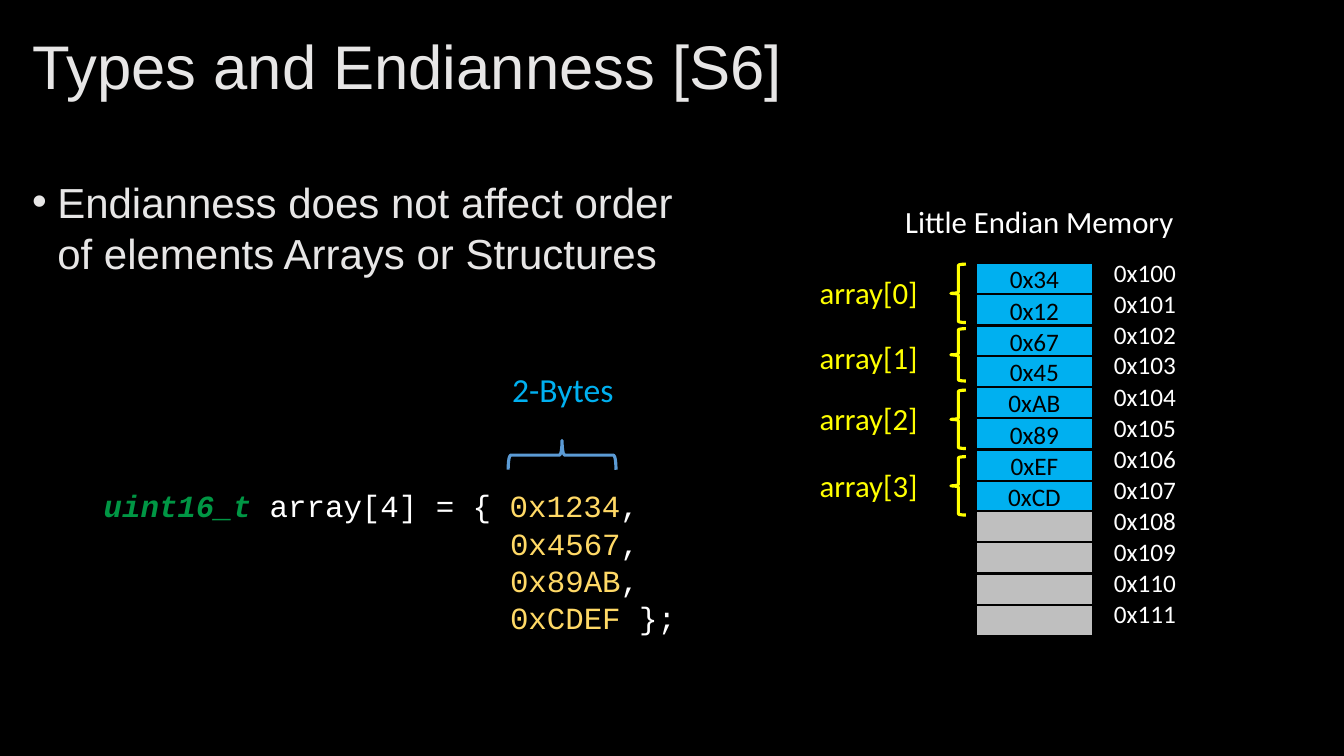
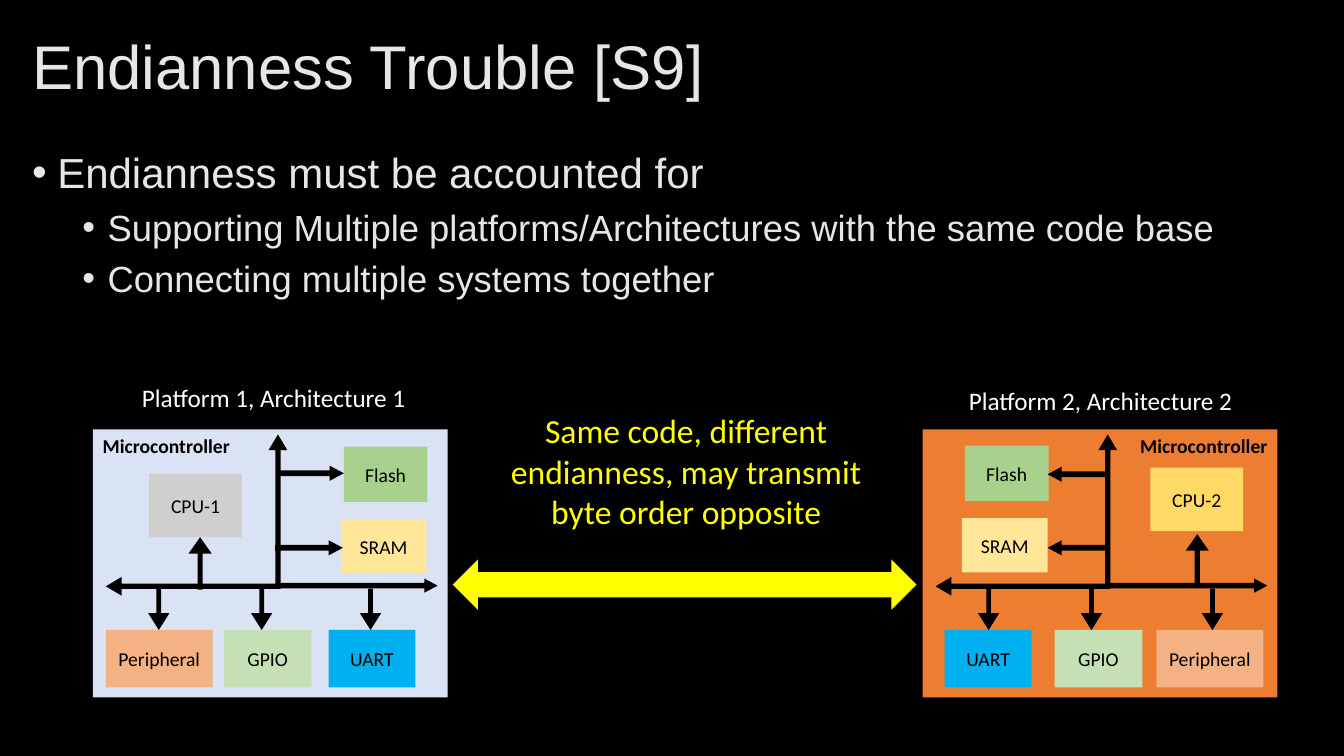
from lxml import etree
from pptx import Presentation
from pptx.dml.color import RGBColor
from pptx.enum.shapes import MSO_SHAPE
from pptx.enum.text import MSO_ANCHOR, MSO_AUTO_SIZE, PP_ALIGN
from pptx.oxml.ns import qn
from pptx.util import Emu, Pt

EMU_PER_PX = 9144
SLIDE_W, SLIDE_H = 1333, 750
BLANK_LAYOUT = 6

BLACK = RGBColor(0x00, 0x00, 0x00)
WHITE = RGBColor(0xFF, 0xFF, 0xFF)
HEADING = RGBColor(0xE7, 0xE6, 0xE6)
CYAN = RGBColor(0x00, 0xB0, 0xF0)
YELLOW = RGBColor(0xFF, 0xFF, 0x00)
FREE_CELL = RGBColor(0xBF, 0xBF, 0xBF)
KEYWORD = RGBColor(0x00, 0x96, 0x44)
GOLD = RGBColor(0xFF, 0xD9, 0x66)
BRACE_BLUE = RGBColor(0x5B, 0x9B, 0xD5)
PALE_BLUE = RGBColor(0xDA, 0xE3, 0xF3)
ORANGE = RGBColor(0xED, 0x7D, 0x31)
PEACH = RGBColor(0xF4, 0xB1, 0x83)
PALE_GREEN = RGBColor(0xC5, 0xE0, 0xB4)
GREEN = RGBColor(0xA9, 0xD1, 0x8E)
PALE_YELLOW = RGBColor(0xFF, 0xE6, 0x99)
GREY = RGBColor(0xD0, 0xCE, 0xCE)

HEADING_FONT, LABEL_FONT, CODE_FONT = "Arial", "Calibri", "Courier New"
RECT = MSO_SHAPE.RECTANGLE
BRACE = MSO_SHAPE.RIGHT_BRACE
UP_ARROW = MSO_SHAPE.UP_ARROW
BUS_ARROW = MSO_SHAPE.LEFT_UP_ARROW
DOUBLE_ARROW = MSO_SHAPE.UP_DOWN_ARROW
LEFT, CENTER, RIGHT = PP_ALIGN.LEFT, PP_ALIGN.CENTER, PP_ALIGN.RIGHT
TOP, MIDDLE = MSO_ANCHOR.TOP, MSO_ANCHOR.MIDDLE
GROW = MSO_AUTO_SIZE.SHAPE_TO_FIT_TEXT

BUS_ADJ = (0.032, 0.058, 0.098)
CPU_ADJ = (0.222, 0.708)
DROP_ADJ = (0.222, 0.795)
BRANCH_ADJ = (0.382, 0.936)


def px(value):
    return Emu(value * EMU_PER_PX)


def write(paragraph, text, size=18, color=WHITE, font=LABEL_FONT, bold=False,
          italic=False, align=LEFT, spacing=None):
    run = paragraph.add_run()
    run.text = text
    run.font.size = Pt(size)
    run.font.color.rgb = color
    run.font.name = font
    run.font.bold = bold
    run.font.italic = italic
    paragraph.alignment = align
    paragraph.line_spacing = spacing


def add_frame(shapes, box, wrap=True, anchor=TOP, grow=True):
    frame = shapes.add_textbox(*map(px, box)).text_frame
    frame.word_wrap = wrap
    frame.vertical_anchor = anchor
    if grow:
        frame.auto_size = GROW
    return frame


def add_label(shapes, box, text, wrap=False, **text_format):
    write(add_frame(shapes, box, wrap).paragraphs[0], text, **text_format)


def add_figure(shapes, kind, box, fill=None, line=None, line_width=2.25,
               rotation=0, adjustments=()):
    figure = shapes.add_shape(kind, *map(px, box))
    figure.shadow.inherit = False
    figure.rotation = rotation
    for index, value in enumerate(adjustments):
        figure.adjustments[index] = value
    if fill is None:
        figure.fill.background()
    else:
        figure.fill.solid()
        figure.fill.fore_color.rgb = fill
    if line is None:
        figure.line.fill.background()
    else:
        figure.line.color.rgb = line
        figure.line.width = Pt(line_width)
    return figure


def add_block(shapes, box, fill, text="", anchor=MIDDLE, line=None,
              line_width=1.5, align=CENTER, **text_format):
    block = add_figure(shapes, RECT, box, fill, line, line_width)
    block.text_frame.vertical_anchor = anchor
    if text:
        write(block.text_frame.paragraphs[0], text, color=BLACK, align=align,
              **text_format)


def paragraphs_of(frame, count):
    return [frame.paragraphs[0]] + [frame.add_paragraph()
                                    for _ in range(count - 1)]


def set_indent(paragraph, margin, hanging=0):
    properties = paragraph._p.get_or_add_pPr()
    properties.set("marL", str(px(margin)))
    properties.set("indent", str(px(-hanging)))
    return properties


def add_titled_slide(deck, title):
    slide = deck.slides.add_slide(deck.slide_layouts[BLANK_LAYOUT])
    slide.background.fill.solid()
    slide.background.fill.fore_color.rgb = BLACK
    frame = add_frame(slide.shapes, (22, 21, 1289, 97), anchor=MIDDLE,
                      grow=False)
    write(frame.paragraphs[0], title, size=44, color=HEADING,
          font=HEADING_FONT, spacing=0.9)
    return slide


def add_bullets(shapes, box, items):
    frame = add_frame(shapes, box)
    for paragraph, (level, text) in zip(paragraphs_of(frame, len(items)), items):
        size, spacing = ((30, 36.5), (26, 31.6))[level]
        write(paragraph, text, size=size, color=HEADING, font=HEADING_FONT,
              spacing=Pt(spacing))
        if level:
            paragraph.space_before = Pt(5)
        properties = set_indent(paragraph, 25 + 50 * level, 25)
        etree.SubElement(properties, qn("a:buFont")).set("typeface", HEADING_FONT)
        etree.SubElement(properties, qn("a:buChar")).set("char", "•")


def add_code(shapes, left, top):
    lines = (
        (("uint16_t", KEYWORD), (" array[4] = { ", WHITE),
         ("0x1234", GOLD), (",", WHITE)),
        (("0x4567", GOLD), (",", WHITE)),
        (("0x89AB", GOLD), (",", WHITE)),
        (("0xCDEF ", GOLD), ("};", WHITE)),
    )
    frame = add_frame(shapes, (left, top, 655, 158))
    for row, paragraph in enumerate(paragraphs_of(frame, len(lines))):
        for text, color in lines[row]:
            emphasis = color == KEYWORD
            write(paragraph, text, size=22, color=color, font=CODE_FONT,
                  bold=emphasis, italic=emphasis, spacing=Pt(26.6))
        set_indent(paragraph, 403 if row else 0)
    add_figure(shapes, BRACE, (left + 450, top - 80, 29, 107),
               line=BRACE_BLUE, rotation=270)
    add_label(shapes, (left + 405, top - 117, 122, 50), "2-Bytes",
              size=24, color=CYAN)


def add_memory(shapes, left, top):
    stored = ("0x34", "0x12", "0x67", "0x45", "0xAB", "0x89", "0xEF", "0xCD")
    addresses = ("0x100", "0x101", "0x102", "0x103", "0x104", "0x105",
                 "0x106", "0x107", "0x108", "0x109", "0x110", "0x111")
    braces = ((1, 58), (65, 52), (126, 58), (192, 58))
    add_label(shapes, (left - 80, top - 65, 290, 47), "Little Endian Memory",
              size=22)
    for row, address in enumerate(addresses):
        row_top = top + round(row * 30.8)
        value = stored[row] if row < len(stored) else ""
        add_block(shapes, (left, row_top, 116, 31), CYAN if value else FREE_CELL,
                  value, line=BLACK)
        add_label(shapes, (left + 127, row_top - 11, 82, 40), address)
    for element, (offset, height) in enumerate(braces):
        add_figure(shapes, BRACE, (left - 25, top + offset, 15, height),
                   line=YELLOW, rotation=180)
        add_label(shapes, (left - 165, top + offset + 5, 118, 47),
                  f"array[{element}]", size=22, color=YELLOW)


def add_microcontroller(shapes, left, top, fill, align, blocks, arrows):
    group = shapes.add_group_shape().shapes

    def place(box):
        x, y, width, height = box
        return left + x, top + y, width, height

    add_block(group, place((0, 0, 352, 266)), fill, "Microcontroller",
              anchor=TOP, align=align, size=14, bold=True)
    for text, color, box in blocks:
        add_block(group, place(box), color, text, size=14)
    add_figure(group, BUS_ARROW, place((13, 5, 180, 160)), BLACK,
               adjustments=BUS_ADJ)
    bus_end = ((255, 75, 14, 160), 90, BRANCH_ADJ)
    drops = [((x, 158, 21, 41), 180, DROP_ADJ) for x in (55, 157)]
    for box, rotation, adjustments in [bus_end, *drops, *arrows]:
        add_figure(group, UP_ARROW, place(box), BLACK, rotation=rotation,
                   adjustments=adjustments)


def build_types_slide(deck):
    shapes = add_titled_slide(deck, "Types and Endianness [S6]").shapes
    add_bullets(shapes, (22, 169, 675, 111), (
        (0, "Endianness does not affect order of elements Arrays or Structures"),
    ))
    add_memory(shapes, 968, 261)
    add_code(shapes, 93, 478)


def build_trouble_slide(deck):
    shapes = add_titled_slide(deck, "Endianness Trouble [S9]").shapes
    add_bullets(shapes, (22, 140, 1206, 162), (
        (0, "Endianness must be accounted for"),
        (1, "Supporting Multiple platforms/Architectures with the same code base"),
        (1, "Connecting multiple systems together"),
    ))
    add_microcontroller(shapes, 92, 426, PALE_BLUE, LEFT, (
        ("CPU-1", GREY, (56, 44, 92, 63)),
        ("Flash", GREEN, (249, 17, 83, 55)),
        ("SRAM", PALE_YELLOW, (246, 89, 85, 54)),
        ("Peripheral", PEACH, (13, 199, 106, 57)),
        ("GPIO", PALE_GREEN, (130, 199, 87, 57)),
        ("UART", CYAN, (234, 199, 86, 57)),
    ), (
        ((95, 107, 23, 52), 0, CPU_ADJ),
        ((208, 10, 15, 67), 90, BRANCH_ADJ),
        ((207, 84, 15, 67), 90, BRANCH_ADJ),
        ((265, 158, 21, 41), 180, DROP_ADJ),
    ))
    add_microcontroller(shapes, 915, 426, ORANGE, RIGHT, (
        ("CPU-2", GOLD, (226, 38, 92, 63)),
        ("Flash", GREEN, (42, 16, 83, 55)),
        ("SRAM", PALE_YELLOW, (39, 88, 85, 54)),
        ("UART", CYAN, (22, 199, 86, 57)),
        ("GPIO", PALE_GREEN, (131, 199, 87, 57)),
        ("Peripheral", PEACH, (232, 199, 106, 57)),
    ), (
        ((261, 104, 23, 52), 0, CPU_ADJ),
        ((146, 15, 15, 59), 270, BRANCH_ADJ),
        ((146, 88, 15, 59), 270, BRANCH_ADJ),
        ((277, 158, 21, 41), 180, DROP_ADJ),
    ))
    add_figure(shapes, DOUBLE_ARROW, (654, 350, 50, 460), YELLOW, rotation=270)
    add_label(shapes, (472, 402, 417, 131),
              "Same code, different endianness, may transmit byte order opposite",
              wrap=True, size=24, color=YELLOW, align=CENTER)
    add_label(shapes, (131, 374, 285, 40), "Platform 1, Architecture 1")
    add_label(shapes, (951, 377, 285, 40), "Platform 2, Architecture 2")


def main():
    deck = Presentation()
    deck.slide_width, deck.slide_height = px(SLIDE_W), px(SLIDE_H)
    build_types_slide(deck)
    build_trouble_slide(deck)
    deck.save("out.pptx")


if __name__ == "__main__":
    main()
